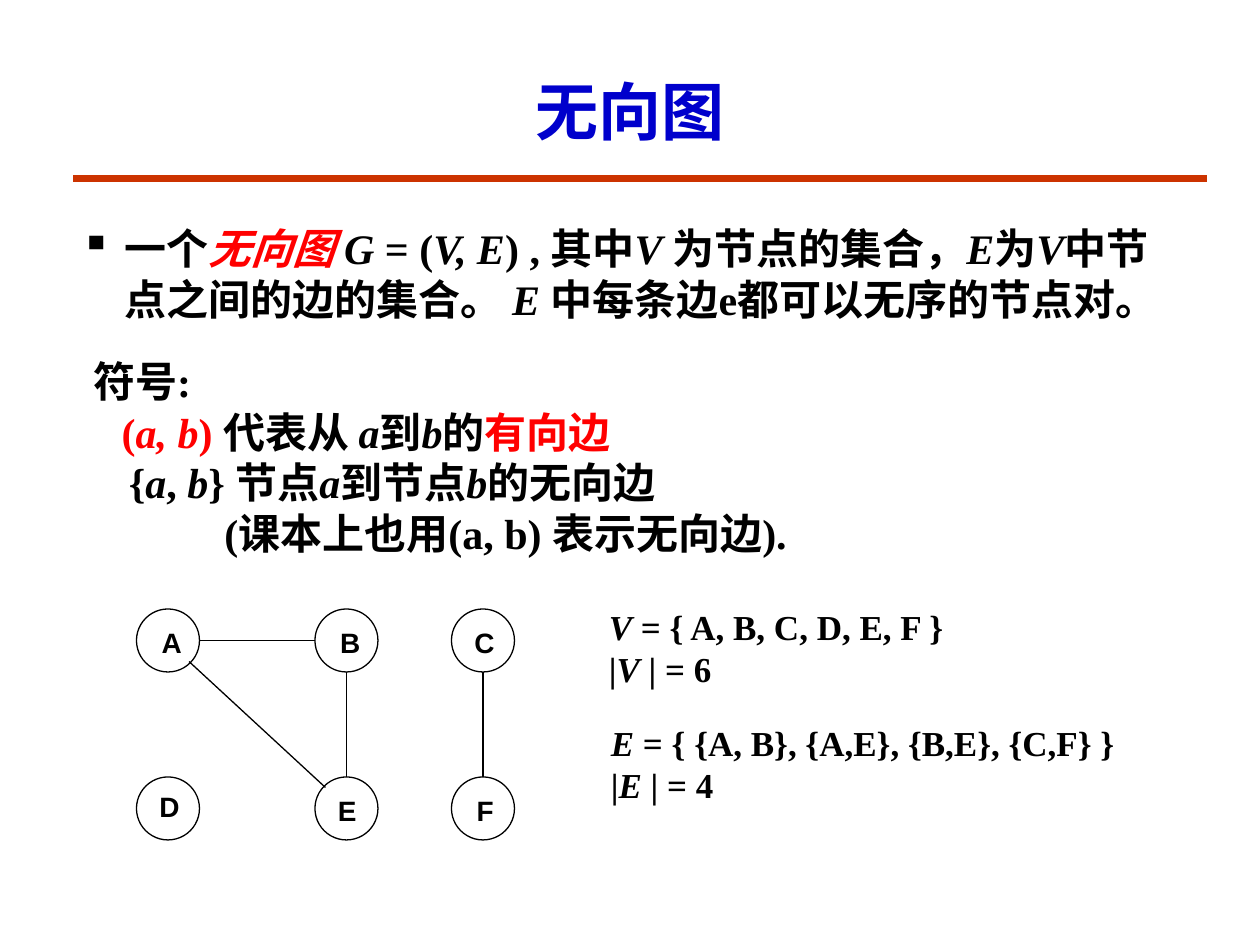
from dataclasses import dataclass
from lxml.etree import SubElement
from pptx import Presentation
from pptx.dml.color import RGBColor as RGB
from pptx.enum.shapes import MSO_CONNECTOR as CONN, MSO_SHAPE as SHAPE
from pptx.enum.text import MSO_ANCHOR as ANCHOR, PP_ALIGN as ALIGN
from pptx.oxml.ns import qn
from pptx.util import Inches, Pt


@dataclass(frozen=True)
class Theme:
    black: RGB = RGB(0, 0, 0)
    red: RGB = RGB(255, 0, 0)
    blue: RGB = RGB(0, 0, 0xCC)
    rule: RGB = RGB(0xCC, 0x33, 0)
    serif: str = "Times New Roman"
    sans: str = "Arial"
    title: int = 36
    body: int = 24
    sets: int = 20
    node: int = 16


T = Theme()
prs = Presentation()
prs.slide_width, prs.slide_height = Inches(10), Inches(7.5)
s = prs.slides.add_slide(prs.slide_layouts[6])
U = prs.slide_width / 120


def add_text(box, paragraphs, size, font=T.serif, color=T.black, anchor=ANCHOR.TOP, wrap=True):
    tf = s.shapes.add_textbox(*(round(v * U) for v in box)).text_frame
    tf.word_wrap, tf.vertical_anchor = wrap, anchor
    for i, runs in enumerate(paragraphs):
        p = tf.paragraphs[0] if i == 0 else tf.add_paragraph()
        for text, style in runs:
            r = p.add_run()
            r.text = text
            r.font.name, r.font.size, r.font.bold = font, Pt(size), True
            r.font.italic = "i" in style
            r.font.color.rgb = T.red if "r" in style else color
    return tf


def add_line(x1, y1, x2, y2, color, width):
    c = s.shapes.add_connector(CONN.STRAIGHT, *(round(v * U) for v in (x1, y1, x2, y2)))
    c.line.color.rgb, c.line.width = color, Pt(width)
    SubElement(c._element.spPr, qn("a:effectLst"))


add_line(7, 17, 115, 17, T.rule, 4.5)

tf = add_text((9, 5, 102, 11), [[("无向图", "")]], T.title, color=T.blue, anchor=ANCHOR.MIDDLE)
tf.paragraphs[0].alignment = ALIGN.CENTER

definition = [
    ("一个", ""), ("无向图 ", "ri"), ("G", "i"), (" = (", ""), ("V, E", "i"),
    (") , 其中", ""), ("V ", "i"), ("为节点的集合，", ""), ("E", "i"), ("为", ""),
    ("V", "i"), ("中节点之间的边的集合。 ", ""), ("E ", "i"),
    ("中每条边e都可以无序的节点对。", ""),
]
tf = add_text((6.5, 18, 107, 16), [definition], T.body, anchor=ANCHOR.MIDDLE)
pPr = tf.paragraphs[0]._p.get_or_add_pPr()
pPr.set("marL", str(Inches(0.35)))
pPr.set("indent", str(-Inches(0.35)))
SubElement(pPr, qn("a:buChar")).set("char", "▪")

notation = [
    [("符号:", "")],
    [("(", "r"), ("a, b", "ri"), (") ", "r"), ("代表从 ", ""), ("a", "i"), ("到", ""),
     ("b", "i"), ("的", ""), ("有向边", "r")],
    [("{", ""), ("a", "i"), (", ", ""), ("b", "i"), ("} 节点", ""), ("a", "i"),
     ("到节点", ""), ("b", "i"), ("的无向边", "")],
    [("(课本上也用(a, b) 表示无向边).", "")],
]
tf = add_text((5, 34, 110, 19), notation, T.body, anchor=ANCHOR.MIDDLE)
for p, indent in zip(tf.paragraphs, (2.7, 5.4, 6.1, 15.2)):
    p._p.get_or_add_pPr().set("marL", str(round(indent * U)))

D = 6
COLS, ROWS = (13, 30, 43), (58, 74)
for y in ROWS:
    for x in COLS:
        sp = s.shapes.add_shape(SHAPE.OVAL, *(round(v * U) for v in (x, y, D, D)))
        sp.shadow.inherit = False
        sp.fill.background()
        sp.line.color.rgb, sp.line.width = T.black, Pt(0.75)

labels = {"A": (14.2, 59), "B": (31.2, 59), "C": (44, 59),
          "D": (14, 74.6), "E": (31, 75), "F": (44.2, 75)}
for name, (x, y) in labels.items():
    add_text((x, y, 4.2, 4.4), [[(name, "")]], T.node, font=T.sans, wrap=False)

top, bottom = ROWS
left, middle, right = COLS
edges = [
    (left + D - 1, top + D - 1, middle + 1, bottom + 1),
    (left + D, top + D / 2, middle, top + D / 2),
    (middle + D / 2, bottom, middle + D / 2, top + D),
    (right + D / 2, bottom, right + D / 2, top + D),
]
for edge in edges:
    add_line(*edge, T.black, 0.75)

sets = [("V", " = { A, B, C, D, E, F }", 6), ("E", " = { {A, B}, {A,E}, {B,E}, {C,F} }", 4)]
for i, (name, members, count) in enumerate(sets):
    add_text((56.8 + 0.2 * i, 57.1 + 11 * i, 54, 9.2),
             [[(name, "i"), (members, "")],
              [("|", ""), (name, "i"), (f" | = {count}", "")]], T.sets)

prs.save("out.pptx")
